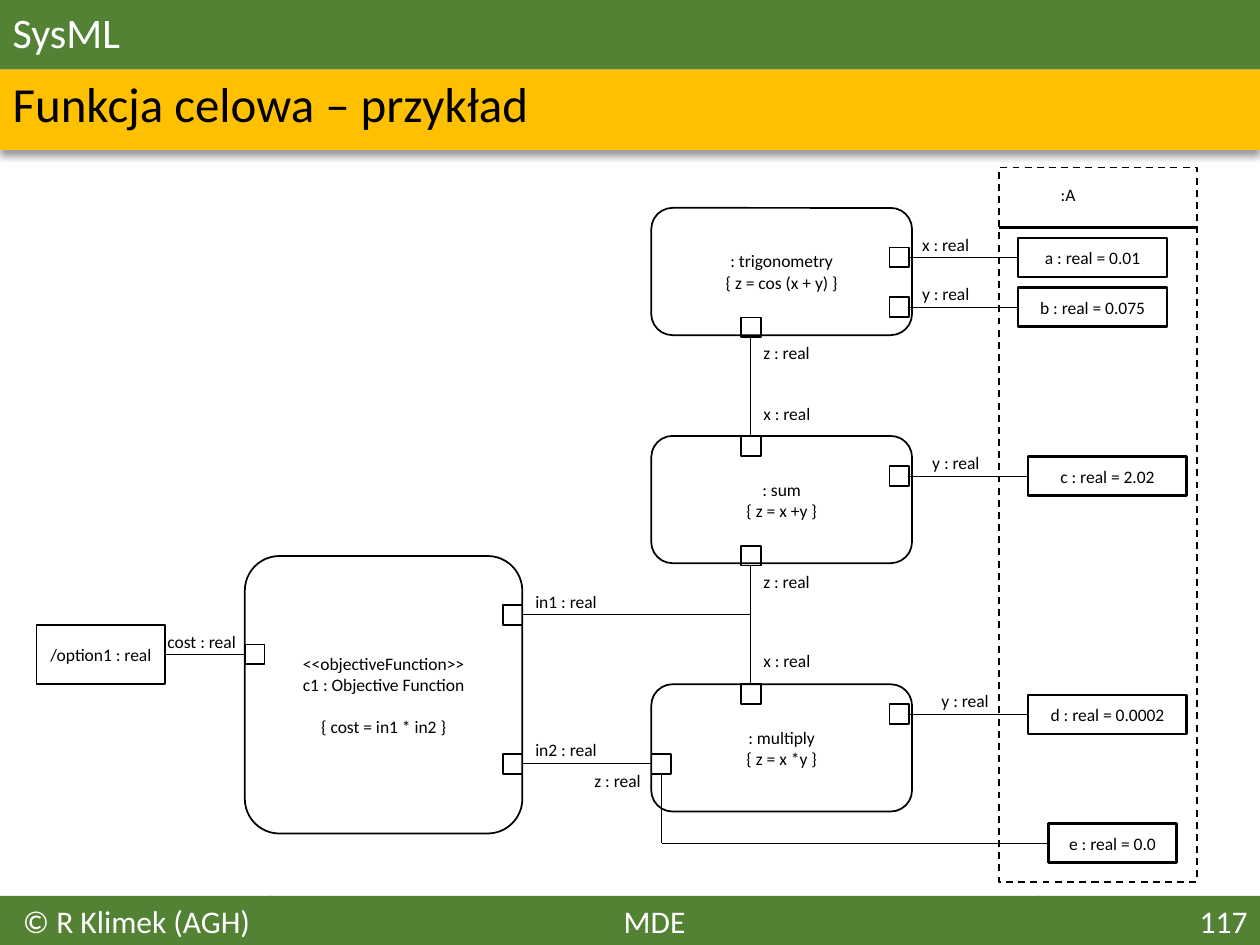
import pptx
import pptx.dml.color
import pptx.enum.dml
import pptx.enum.shapes
import pptx.enum.text
import pptx.oxml
import pptx.oxml.ns
import pptx.util

Pt = pptx.util.Pt
SHAPE = pptx.enum.shapes.MSO_SHAPE
ALIGN = pptx.enum.text.PP_ALIGN
ANCHOR = pptx.enum.text.MSO_ANCHOR

COLORS = {"green": "548235", "gold": "FFC000", "black": "000000", "white": "FFFFFF"}
W, H = 720, 540
PORT = 11.34
TOP, LEFT, BOTTOM, RIGHT = range(4)
# Centres of the port columns
OBJ_IN, OBJ_OUT, COL_LEFT, COL_MID, COL_RIGHT = 145.6, 293, 378, 429.1, 514

CONSTRAINTS = [
    (118.8, [": trigonometry", "{ z = cos (x + y) }"]),
    (249.1, [": sum", "{ z = x +y }"]),
    (391, [": multiply", "{ z = x *y }"]),
]
# text, left, middle, width
VALUES = [
    ("a : real = 0.01", 581.8, 147.1, 85),
    ("b : real = 0.075", 581.8, 175.6, 85),
    ("c : real = 2.02", 587.5, 272.1, 90.7),
    ("d : real = 0.0002", 587.5, 408.2, 90.7),
    ("e : real = 0.0", 599, 481.7, 73.4),
]
# text, left, top, width
LABELS = [
    (":A", 599, 101.5, 23),
    ("x : real", 519.8, 130.3, 41.8),
    ("y : real", 519.8, 158.4, 41.8),
    ("z : real", 429.1, 192.2, 41.8),
    ("x : real", 429.1, 226.8, 41.8),
    ("y : real", 525.6, 254.9, 41.8),
    ("z : real", 429.1, 322.6, 41.8),
    ("x : real", 429.1, 367.9, 41.8),
    ("y : real", 530.9, 391, 41.8),
    ("z : real", 332.6, 436.3, 41.8),
    ("in1 : real", 298.8, 334.1, 50.4),
    ("in2 : real", 298.8, 419, 50.4),
    ("cost : real", 88.6, 357.1, 54),
]


def rgb(name):
    return pptx.dml.color.RGBColor.from_string(COLORS[name])


def set_attrs(obj, values):
    for name, value in values.items():
        setattr(obj, name, value)


def write(sp, lines, size=10, color="black", para=None, frame=None):
    """Fill a shape with one paragraph per line; para and frame hold format values."""
    tf = sp.text_frame
    set_attrs(tf, {"word_wrap": True, **(frame or {})})
    for i, line in enumerate(lines):
        p = tf.paragraphs[0] if i == 0 else tf.add_paragraph()
        set_attrs(p, para or {})
        r = p.add_run()
        r.text = line
        set_attrs(r.font, {"name": "Calibri", "size": Pt(size)})
        r.font.color.rgb = rgb(color)
    return tf


def add_shape(s, x, y, w, h, kind=SHAPE.RECTANGLE, fill=None, line=None):
    sp = s.shapes.add_shape(kind, Pt(x), Pt(y), Pt(w), Pt(h))
    sp.shadow.inherit = False
    if fill:
        sp.fill.solid()
        sp.fill.fore_color.rgb = rgb(fill)
    else:
        sp.fill.background()
    if line:
        sp.line.color.rgb = rgb("black")
        sp.line.width = Pt(line)
    else:
        sp.line.fill.background()
    return sp


def add_node(s, lines, x, y, w, h, kind=SHAPE.RECTANGLE, line=1):
    sp = add_shape(s, x, y, w, h, kind, line=line)
    write(sp, lines, para={"alignment": ALIGN.CENTER},
          frame={"vertical_anchor": ANCHOR.MIDDLE})
    return sp


def add_port(s, cx, cy):
    return add_shape(s, cx - PORT / 2, cy - PORT / 2, PORT, PORT, line=1)


def add_line(s, start, end, width=0.5):
    """Draw a line; each end is an (x, y) point or a (shape, side) pair."""
    ends = [p if isinstance(p[0], (int, float)) else (0, 0) for p in (start, end)]
    c = s.shapes.add_connector(pptx.enum.shapes.MSO_CONNECTOR.STRAIGHT,
                               *(Pt(v) for p in ends for v in p))
    for target, connect in ((start, c.begin_connect), (end, c.end_connect)):
        if not isinstance(target[0], (int, float)):
            connect(*target)
    c.line.color.rgb = rgb("black")
    c.line.width = Pt(width)
    pptx.oxml.ns.qn("a:effectLst")
    c.element.spPr.append(pptx.oxml.parse_xml(
        f'<a:effectLst {pptx.oxml.ns.nsdecls("a")}/>'))


def add_label(s, text, x, y, w):
    sp = s.shapes.add_textbox(Pt(x), Pt(y), Pt(w), Pt(19.4))
    write(sp, [text], frame={"word_wrap": False})


def fill_placeholder(sp, text, box, size, color):
    set_attrs(sp, dict(zip(("left", "top", "width", "height"), map(Pt, box))))
    pPr = sp.text_frame.paragraphs[0]._p.get_or_add_pPr()
    pPr.set("marL", "0")
    pPr.set("indent", "0")
    pPr.append(pptx.oxml.parse_xml(f'<a:buNone {pptx.oxml.ns.nsdecls("a")}/>'))
    write(sp, [text], size, color,
          para={"alignment": ALIGN.LEFT, "line_spacing": 0.9, "space_before": Pt(0)},
          frame={"vertical_anchor": ANCHOR.MIDDLE,
                 "auto_size": pptx.enum.text.MSO_AUTO_SIZE.NONE})


def add_header(s):
    title, body = s.placeholders
    band = add_shape(s, 0, 39.6, W, 46.1, fill="gold")
    effects = band.element.spPr.find(pptx.oxml.ns.qn("a:effectLst"))
    effects.append(pptx.oxml.parse_xml(
        f'<a:outerShdw {pptx.oxml.ns.nsdecls("a")} blurRad="50800" dist="38100" '
        'dir="5400000" algn="t" rotWithShape="0"><a:srgbClr val="000000">'
        '<a:alpha val="40000"/></a:srgbClr></a:outerShdw>'))
    title.element.addprevious(band.element)
    fill_placeholder(body, "Funkcja celowa – przykład", (0, 39.6, 718.6, 42.5), 28, "black")
    fill_placeholder(title, "SysML", (0, 0, W, 39.6), 24, "white")
    title.fill.solid()
    title.fill.fore_color.rgb = rgb("green")


def add_footer(s):
    for text, x, w, align in (("MDE", 154.1, 439.9, ALIGN.CENTER),
                              ("© R Klimek (AGH)", 0, 156.2, ALIGN.CENTER),
                              ("117", 591.8, 128.2, ALIGN.RIGHT)):
        sp = add_shape(s, x, 511.9, w, H - 511.9, fill="green")
        write(sp, [text], 18, "white", para={"alignment": align},
              frame={"vertical_anchor": ANCHOR.TOP})


def add_diagram(s):
    for y, lines in CONSTRAINTS:
        add_node(s, lines, 372.2, y, 149, 72.7, SHAPE.ROUNDED_RECTANGLE)
    objective = add_node(s, ["<<objectiveFunction>>", "c1 : Objective Function",
                             "{ cost = in1 * in2 }"],
                         139.9, 317.7, 158.6, 158.6, SHAPE.ROUNDED_RECTANGLE)
    objective.adjustments[0] = 0.125
    objective.text_frame.paragraphs[-1].space_before = Pt(12)

    part = add_shape(s, 571, 95.8, 113, 408.2, line=1)
    part.line.dash_style = pptx.enum.dml.MSO_LINE.DASH
    add_line(s, (571, 130.1), (684, 130.1), 1.5)

    values = [add_node(s, [text], x, cy - 11.15, w, 22.3, line=1.5)
              for text, x, cy, w in VALUES]
    for value, (_, _, cy, _) in zip(values[:-1], VALUES):
        add_line(s, (add_port(s, COL_RIGHT, cy), RIGHT), (value, LEFT))

    for upper, lower in ((187.1, 254.8), (317.5, 396.7)):
        add_line(s, (add_port(s, COL_MID, upper), BOTTOM),
                 (add_port(s, COL_MID, lower), TOP))

    product = add_port(s, COL_LEFT, 436.5)
    in1, in2 = (add_port(s, OBJ_OUT, cy) for cy in (351.4, 436.5))
    corner = (COL_LEFT, VALUES[-1][2])
    add_line(s, (in1, RIGHT), (COL_MID, 351.4))
    add_line(s, (product, LEFT), (in2, RIGHT))
    add_line(s, corner, (product, BOTTOM))
    add_line(s, corner, (values[-1], LEFT))

    option = add_node(s, ["/option1 : real"], 20.9, 357, 73.4, 34)
    add_line(s, (add_port(s, OBJ_IN, 374), LEFT), (option, RIGHT))
    for label in LABELS:
        add_label(s, *label)


def main():
    prs = pptx.Presentation()
    set_attrs(prs, {"slide_width": Pt(W), "slide_height": Pt(H)})
    s = prs.slides.add_slide(prs.slide_layouts[1])
    add_header(s)
    add_footer(s)
    add_diagram(s)
    prs.save("out.pptx")


if __name__ == "__main__":
    main()
